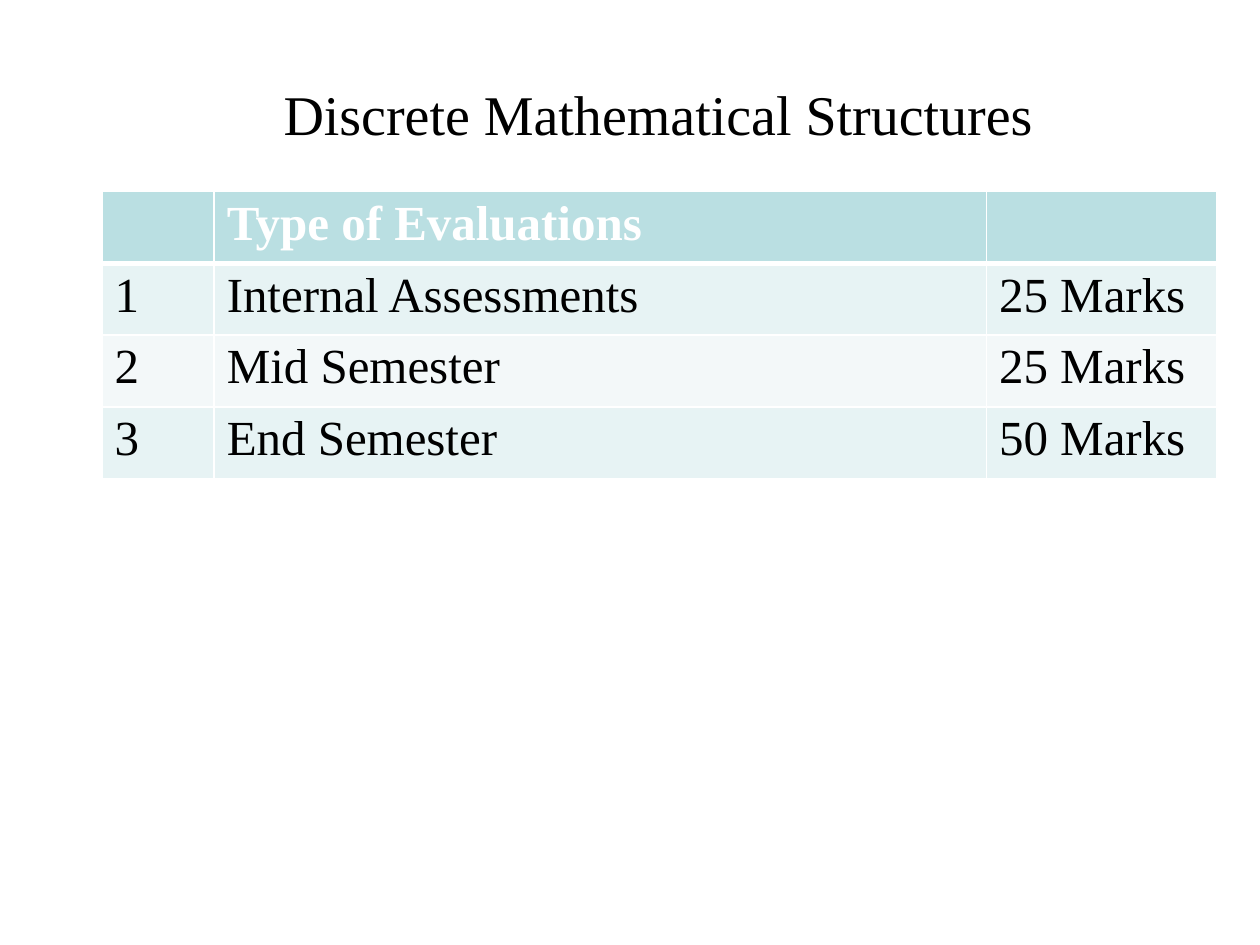
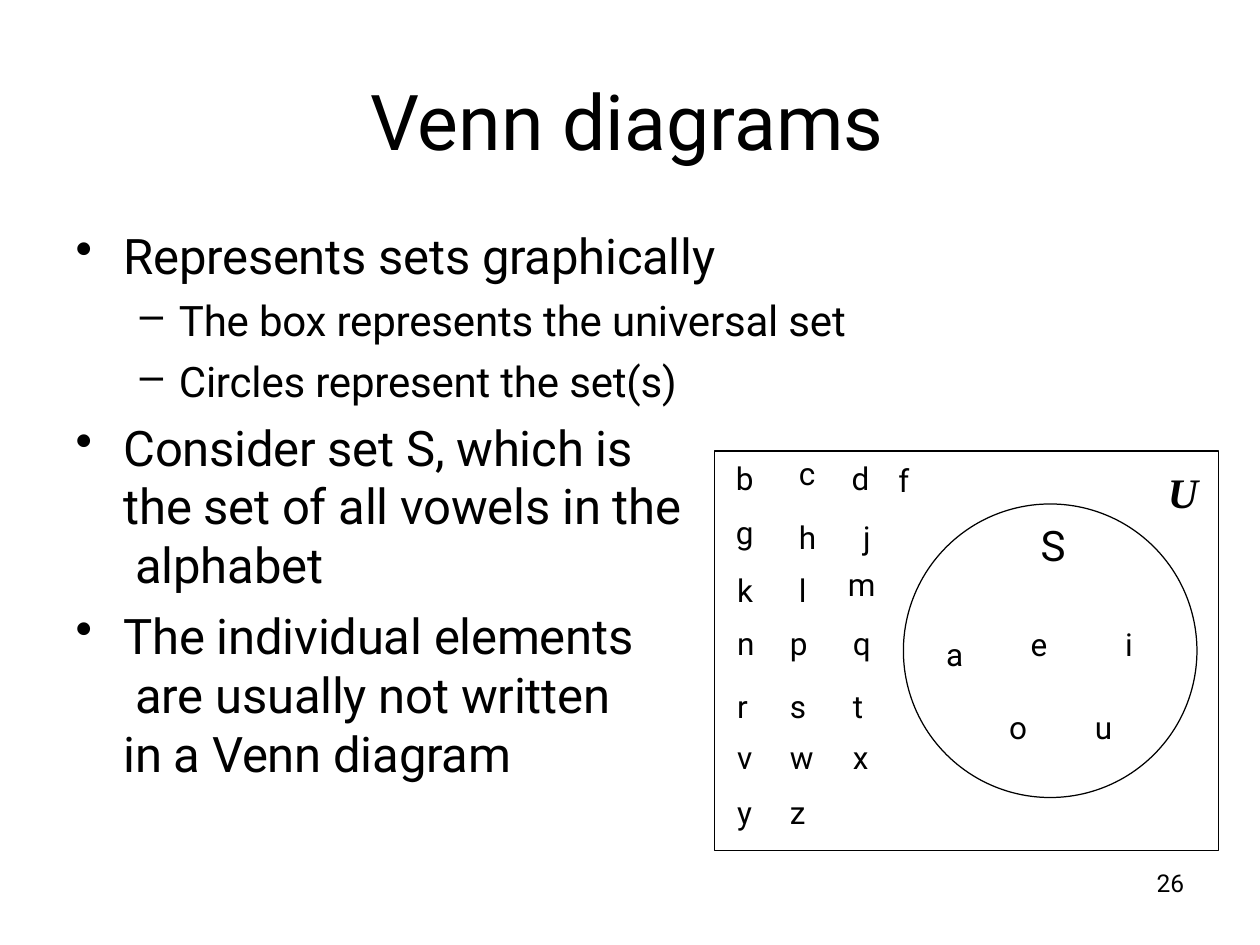
from pptx import Presentation
from pptx.dml.color import RGBColor
from pptx.enum.shapes import MSO_SHAPE
from pptx.enum.text import MSO_ANCHOR, PP_ALIGN
from pptx.oxml.ns import qn
from pptx.util import Inches, Pt
from lxml.etree import SubElement

COLORS = {
    "ink": "000000",
    "paper": "FFFFFF",
    "header": "BADFE2",
    "band_dark": "E7F3F4",
    "band_light": "F3F8F9",
}
SERIF = "Times New Roman"
SANS = "Roboto"
TITLE_ONLY = 5

EVALUATIONS = [
    ("", "Type of Evaluations", ""),
    ("1", "Internal Assessments", "25 Marks"),
    ("2", "Mid Semester", "25 Marks"),
    ("3", "End Semester", "50 Marks"),
]

# Bullets: level, text, space before in points
SET_BULLETS = [
    (0, "Represents sets graphically", 0),
    (1, "The box represents the universal set", 5.9),
    (1, "Circles represent the set(s)", 5.8),
]
VOWEL_BULLETS = [
    (0, "Consider set S, which is\vthe set of all vowels in the\v alphabet", 0),
    (0, "The individual elements\v are usually not written\vin a Venn diagram", 6.8),
]
# Level: bullet sign, text size, left margin, hanging indent
BULLET_STYLES = [("•", 28, 0.39, -0.38), ("–", 24, 0.83, -0.31)]

# Consonants: row height, then letter, left inset and top inset for each cell
CONSONANTS = [
    (0.46, [("b", 0.03, 0.08), ("c", 0.21, 0.04), ("d", 0.15, 0.08)]),
    (0.44, [("g", 0.03, 0.05), ("h", 0.21, 0.09), ("j", 0.24, 0.09)]),
    (0.44, [("k", 0.04, 0.07), ("l", 0.21, 0.07), ("m", 0.12, 0.02)]),
    (0.35, [("n", 0.04, 0.05), ("p", 0.14, 0.05), ("q", 0.16, 0.05)]),
    (0.57, [("r", 0.04, 0.2), ("s", 0.14, 0.2), ("t", 0.16, 0.2)]),
    (0.42, [("v", 0.04, 0.04), ("w", 0.14, 0.04), ("x", 0.16, 0.04)]),
    (0.35, [("y", 0.04, 0.05), ("z", 0.14, 0.05), ("", 0, 0)]),
]

# Letters placed freely: text, left and top within the universal set, size
FREE_LETTERS = [
    ("f", 1.45, 0.07, 18),
    ("S", 2.58, 0.53, 24),
    ("a", 1.83, 1.45, 18),
    ("e", 2.5, 1.37, 18),
    ("i", 3.25, 1.37, 18),
    ("o", 2.33, 2.03, 18),
    ("u", 3.01, 2.03, 18),
]


def rgb(name):
    return RGBColor.from_string(COLORS[name])


def format_runs(paragraph, font_name, size, color="ink", bold=False, italic=False):
    for run in paragraph.runs:
        font = run.font
        font.name, font.size = font_name, Pt(size)
        font.bold, font.italic = bold, italic
        font.color.rgb = rgb(color)


def set_insets(frame, left=0, top=0):
    """Accepts a text frame or a table cell."""
    frame.margin_left, frame.margin_top = Inches(left), Inches(top)
    frame.margin_right = frame.margin_bottom = 0


def add_title(slide, text, box, font_name, size):
    title = slide.shapes.title
    title.left, title.top, title.width, title.height = map(Inches, box)
    frame = title.text_frame
    frame.text = text
    frame.vertical_anchor = MSO_ANCHOR.TOP
    set_insets(frame, 0.01, 0.05)
    paragraph = frame.paragraphs[0]
    paragraph.alignment = PP_ALIGN.LEFT
    format_runs(paragraph, font_name, size)


def add_text_box(slide, box, top_inset=0.01):
    frame = slide.shapes.add_textbox(*map(Inches, box)).text_frame
    frame.word_wrap = True
    set_insets(frame, 0, top_inset)
    return frame


def add_label(slide, text, box, size, font_name=SANS, **style):
    frame = add_text_box(slide, box)
    frame.text = text
    frame.margin_left = Inches(0.01)
    format_runs(frame.paragraphs[0], font_name, size, **style)


def add_bullets(slide, bullets, box, top_inset):
    frame = add_text_box(slide, box, top_inset)
    for index, (level, text, space_before) in enumerate(bullets):
        paragraph = frame.add_paragraph() if index else frame.paragraphs[0]
        sign, size, margin, indent = BULLET_STYLES[level]
        paragraph.text = text
        paragraph.level = level
        paragraph.space_before = Pt(space_before)
        format_runs(paragraph, SANS, size)
        for run in paragraph.runs:
            run.font._element.set("spc", "-10")
        properties = paragraph._p.get_or_add_pPr()
        properties.set("marL", str(Inches(margin)))
        properties.set("indent", str(Inches(indent)))
        SubElement(properties, qn("a:buChar"), char=sign)


def add_table(slide, box, column_widths, row_heights):
    size = len(row_heights), len(column_widths)
    table = slide.shapes.add_table(*size, *map(Inches, box)).table
    table.first_row = table.horz_banding = False
    for column, width in zip(table.columns, column_widths):
        column.width = Inches(width)
    for row, height in zip(table.rows, row_heights):
        row.height = Inches(height)
    return table


def set_borders(cell, widths):
    """Draws left, right, top and bottom borders, ahead of the cell's fill."""
    properties = cell._tc.get_or_add_tcPr()
    for index, (side, width) in enumerate(zip("LRTB", widths)):
        line = SubElement(properties, qn(f"a:ln{side}"), w=str(Pt(width)))
        fill = SubElement(line, qn("a:solidFill"))
        SubElement(fill, qn("a:srgbClr"), val=COLORS["paper"])
        properties.insert(index, line)


def add_evaluation_table(slide, box):
    table = add_table(slide, box, [0.89, 6.13, 1.83], [0.57] * len(EVALUATIONS))
    for row, texts in enumerate(EVALUATIONS):
        is_header = row == 0
        band = "header" if is_header else ("band_light", "band_dark")[row % 2]
        for column, text in enumerate(texts):
            cell = table.cell(row, column)
            cell.text = text
            set_insets(cell, 0.1, 0.04)
            cell.fill.solid()
            cell.fill.fore_color.rgb = rgb(band)
            set_borders(cell, (1, 1, 3 if row == 1 else 1, 3 if is_header else 1))
            format_runs(cell.text_frame.paragraphs[0], SERIF, 28,
                        "paper" if is_header else "ink", bold=is_header)


def add_consonants(slide, box):
    table = add_table(slide, box, [0.32, 0.48, 0.36], [height for height, _ in CONSONANTS])
    for row, (_, letters) in enumerate(CONSONANTS):
        for column, (letter, left, top) in enumerate(letters):
            cell = table.cell(row, column)
            cell.text = letter
            set_insets(cell, left, top)
            cell.fill.background()
            format_runs(cell.text_frame.paragraphs[0], SANS, 18)


def add_outline(slide, preset, box):
    shape = slide.shapes.add_shape(preset, *map(Inches, box))
    shape.shadow.inherit = False
    shape.fill.background()
    shape.line.color.rgb = rgb("ink")
    shape.line.width = Pt(0.72)


def add_venn_diagram(slide, box):
    left, top, width, height = box
    add_consonants(slide, (left + 0.14, top, 1.16, 3.03))
    # Universal set and the set of vowels
    add_outline(slide, MSO_SHAPE.RECTANGLE, box)
    add_outline(slide, MSO_SHAPE.OVAL, (left + 1.5, top + 0.42, 2.33, 2.33))
    add_label(slide, "U", (left + 3.59, top + 0.11, 0.27, 0.43), 24, SERIF,
              bold=True, italic=True)
    for letter, x, y, size in FREE_LETTERS:
        letter_box = (left + x, top + y, size / 90, size / 55)
        add_label(slide, letter, letter_box, size)


def build_evaluation_slide(presentation):
    slide = presentation.slides.add_slide(presentation.slide_layouts[TITLE_ONLY])
    add_title(slide, "Discrete Mathematical Structures", (2.24, 0.58, 5.98, 0.56), SERIF, 32)
    add_evaluation_table(slide, (0.81, 1.52, 8.85, 2.28))


def build_venn_slide(presentation):
    slide = presentation.slides.add_slide(presentation.slide_layouts[TITLE_ONLY])
    add_title(slide, "Venn diagrams", (2.93, 0.53, 4.14, 0.76), SANS, 44)
    add_bullets(slide, SET_BULLETS, (0.59, 1.68, 6.24, 1.55), 0.11)
    add_bullets(slide, VOWEL_BULLETS, (0.59, 3.3, 4.9, 2.92), 0.01)
    add_venn_diagram(slide, (5.67, 3.58, 4, 3.17))
    # Page number
    add_label(slide, "26", (9.17, 6.88, 0.3, 0.25), 14)


def main():
    presentation = Presentation()
    presentation.slide_width, presentation.slide_height = Inches(10), Inches(7.5)
    build_evaluation_slide(presentation)
    build_venn_slide(presentation)
    presentation.save("out.pptx")


if __name__ == "__main__":
    main()
